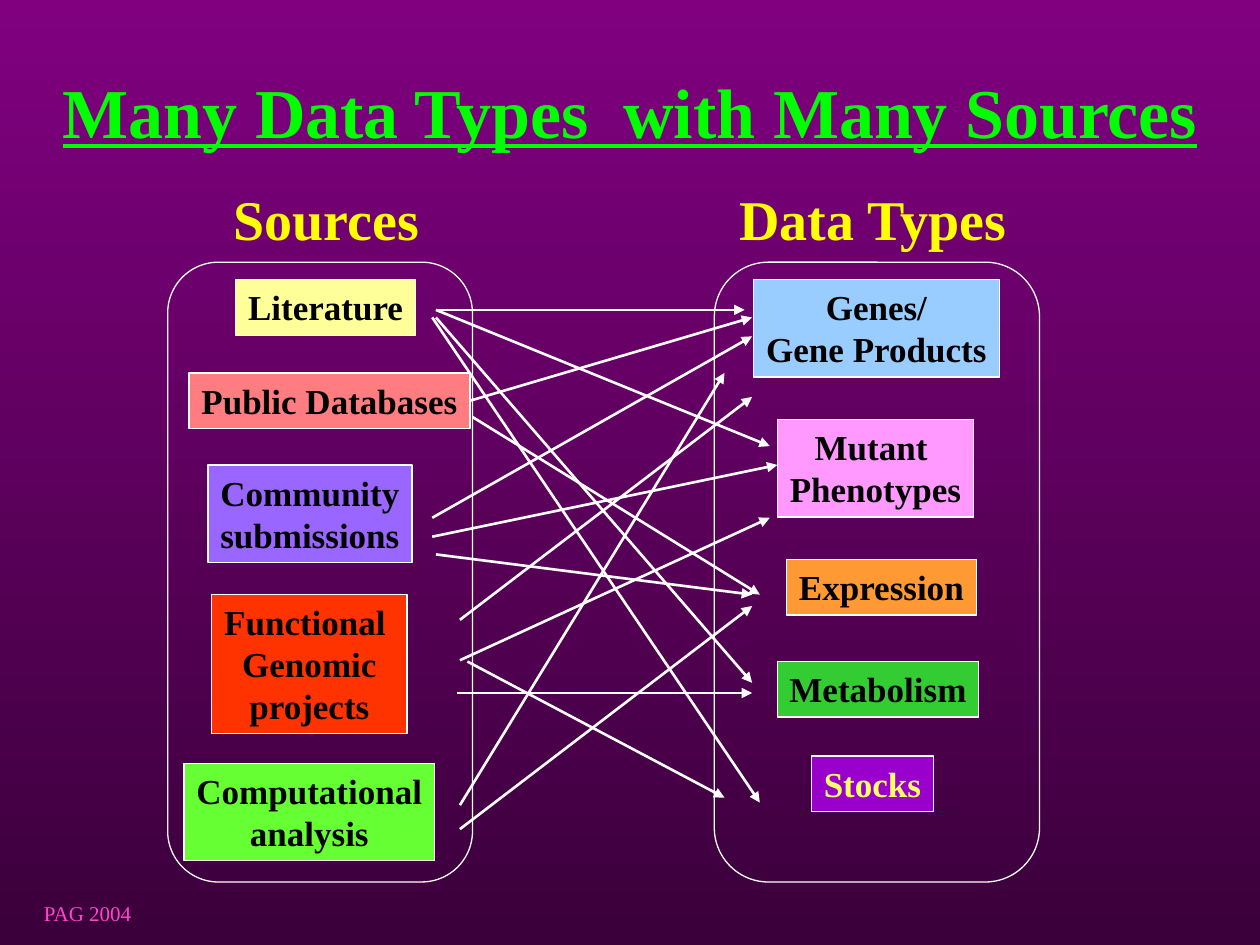
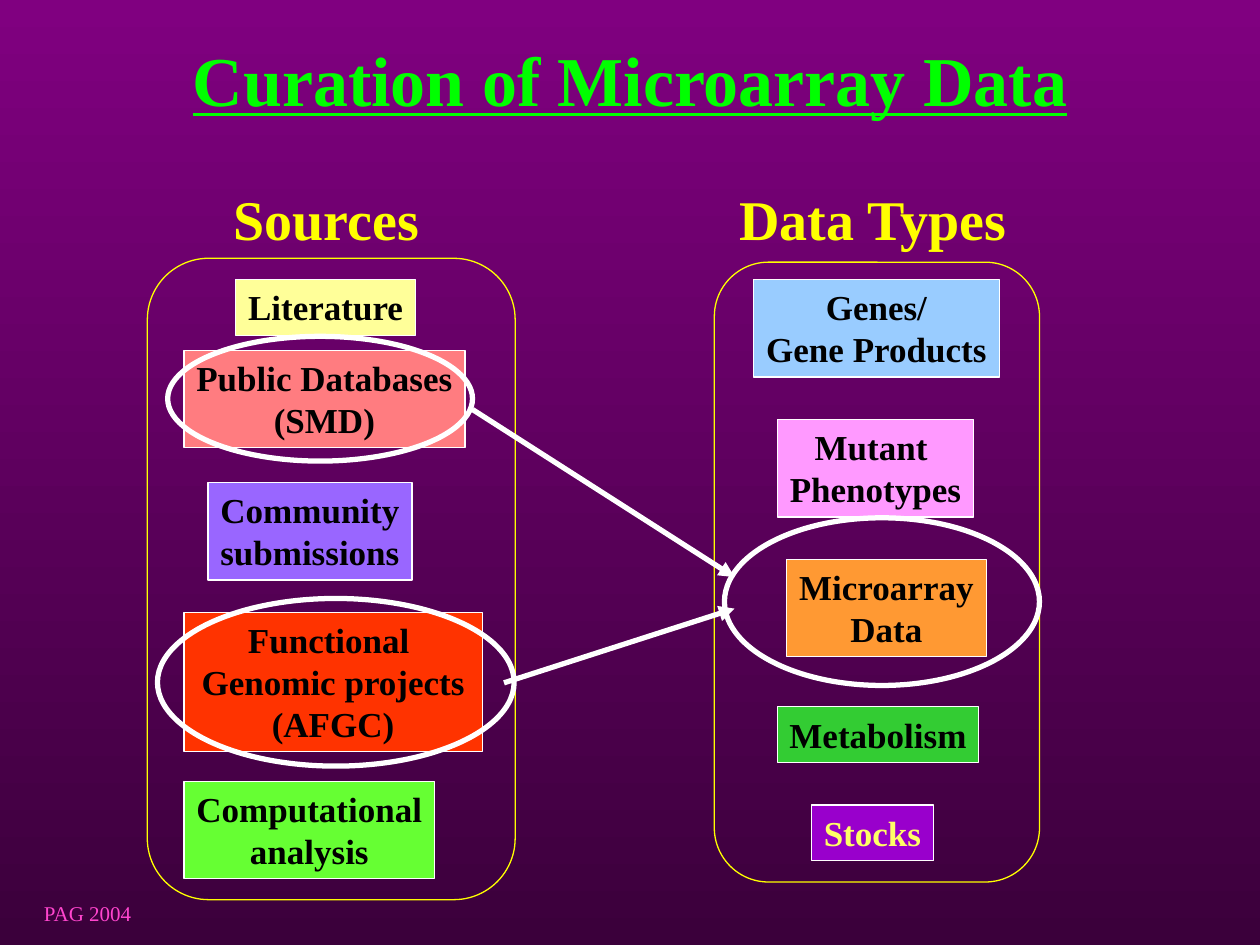
import pptx
import pptx.util
import pptx.dml.color
import pptx.enum.shapes
import pptx.enum.text
from lxml import etree

Pt = pptx.util.Pt
RGB = pptx.dml.color.RGBColor
SHAPE = pptx.enum.shapes.MSO_SHAPE
ANCHOR = pptx.enum.text.MSO_ANCHOR
ALIGN = pptx.enum.text.PP_ALIGN

PURPLE = RGB(0x80, 0x00, 0x80)
DARK_PURPLE = RGB(0x3B, 0x00, 0x3B)
GREEN = RGB(0x00, 0xFF, 0x00)
YELLOW = RGB(0xFF, 0xFF, 0x00)
WHITE = RGB(0xFF, 0xFF, 0xFF)
BLACK = RGB(0x00, 0x00, 0x00)
PINK = RGB(0xFF, 0x45, 0xCE)
CREAM = RGB(0xFF, 0xFF, 0x99)
SALMON = RGB(0xFF, 0x7C, 0x80)
VIOLET = RGB(0x99, 0x66, 0xFF)
RED = RGB(0xFF, 0x33, 0x00)
LIME = RGB(0x66, 0xFF, 0x33)
SKY = RGB(0x99, 0xCC, 0xFF)
ROSE = RGB(0xFF, 0x99, 0xFF)
ORANGE = RGB(0xFF, 0x99, 0x33)
LEAF = RGB(0x33, 0xCC, 0x33)
DEEP_VIOLET = RGB(0x99, 0x00, 0xCC)
PALE_YELLOW = RGB(0xFF, 0xFF, 0x66)

FONT = "Times New Roman"
TITLE = {"name": FONT, "size": Pt(40), "bold": True, "underline": True}
HEADING = {"name": FONT, "size": Pt(32), "bold": True}
LABEL = {"name": FONT, "size": Pt(20), "bold": True}
FOOTER = {"name": FONT, "size": Pt(12)}

DATA_PANEL = (408.2, 149.8, 185.8, 354.2)


class Deck:
    def __init__(self):
        self.prs = pptx.Presentation()
        self.prs.slide_width, self.prs.slide_height = Pt(720), Pt(540)
        self.s = None
        fill = self.prs.slide_master.background.fill
        fill.gradient()
        fill.gradient_angle = 270
        for stop, color in zip(fill.gradient_stops, (PURPLE, DARK_PURPLE)):
            stop.color.rgb = color

    def slide(self, title, left, top, width):
        self.s = self.prs.slides.add_slide(self.prs.slide_layouts[6])
        self.textbox("PAG 2004", (18, 511.2, 65.5, 21.6), FOOTER, PINK, ALIGN.LEFT)
        tf = self.textbox(title, (left, top, width, 90), TITLE, GREEN)
        tf.word_wrap = True
        tf.vertical_anchor = ANCHOR.MIDDLE
        self.textbox("Data Types", (414, 102.2, 169.9, 46.1), HEADING, YELLOW)
        self.textbox("Sources", (126, 102.2, 121, 46.1), HEADING, YELLOW)

    def put_text(self, tf, text, style, color, align=ALIGN.CENTER):
        tf.word_wrap = False
        tf.vertical_anchor = ANCHOR.TOP
        for i, line in enumerate(text.split("\n")):
            p = tf.add_paragraph() if i else tf.paragraphs[0]
            p.alignment = align
            r = p.add_run()
            r.text = line
            for key, value in style.items():
                setattr(r.font, key, value)
            r.font.color.rgb = color

    def textbox(self, text, area, style, color, align=ALIGN.CENTER):
        tf = self.s.shapes.add_textbox(*map(Pt, area)).text_frame
        self.put_text(tf, text, style, color, align)
        return tf

    def shape(self, kind, area, line=WHITE, weight=0.75, fill=None):
        sp = self.s.shapes.add_shape(kind, *map(Pt, area))
        sp.shadow.inherit = False
        if fill is None:
            sp.fill.background()
        else:
            sp.fill.solid()
            sp.fill.fore_color.rgb = fill
        sp.line.color.rgb = line
        sp.line.width = Pt(weight)
        return sp

    def box(self, text, left, top, width, fill, color=BLACK):
        height = 8 + 23.8 * len(text.split("\n"))
        sp = self.shape(SHAPE.RECTANGLE, (left, top, width, height), fill=fill)
        self.put_text(sp.text_frame, text, LABEL, color)
        return sp

    def panel(self, area, line):
        self.shape(SHAPE.ROUNDED_RECTANGLE, area, line)

    def ring(self, *area):
        self.shape(SHAPE.OVAL, area, weight=3)

    def arrow(self, x1, y1, x2, y2, weight=1.5):
        c = self.s.shapes.add_connector(
            pptx.enum.shapes.MSO_CONNECTOR.STRAIGHT, *map(Pt, (x1, y1, x2, y2)))
        c.line.color.rgb = WHITE
        c.line.width = Pt(weight)
        ns = "{http://schemas.openxmlformats.org/drawingml/2006/main}"
        etree.SubElement(c.line._get_or_add_ln(), ns + "tailEnd", type="triangle")
        etree.SubElement(c._element.spPr, ns + "effectLst")
        return c

    def common_boxes(self, community_top, computational_top, metabolism_top, stocks_top):
        self.box("Literature", 134.6, 159.8, 103, CREAM)
        self.box("Community\nsubmissions", 118.8, community_top, 116.6, VIOLET)
        self.box("Computational\nanalysis", 105.1, computational_top, 143.3, LIME)
        self.box("Genes/\nGene Products", 430.6, 159.8, 140.4, SKY)
        self.box("Mutant \nPhenotypes", 444.2, 239.8, 112.3, ROSE)
        self.box("Metabolism", 444.2, metabolism_top, 115.2, LEAF)
        self.box("Stocks", 463.7, stocks_top, 69.8, DEEP_VIOLET, PALE_YELLOW)


def many_sources(deck):
    deck.slide("Many Data Types  with Many Sources", 0, 18, 720)
    deck.common_boxes(265.7, 436.3, 378, 432)
    databases = deck.box("Public Databases", 108, 213.1, 160.6, SALMON)
    deck.box("Functional \nGenomic\nprojects", 121, 339.8, 111.6, RED)
    deck.box("Expression", 449.3, 319.7, 108.7, ORANGE)
    deck.panel((95.8, 149.8, 174.2, 354.2), WHITE)
    deck.panel(DATA_PANEL, WHITE)
    deck.arrow(268.6, 229, 429.8, 181.4).begin_connect(databases, 3)
    for ends in (
        (249.1, 181.4, 429.8, 390.2),
        (249.1, 177.1, 425.5, 177.1),
        (267.1, 378, 414, 455.8),
        (249.1, 177.1, 439.9, 254.9),
        (262.8, 473.8, 429.8, 346.3),
        (262.8, 354.2, 429.8, 226.8),
        (247, 295.9, 429.8, 192.2),
        (247, 306.7, 444.2, 265.7),
        (249.1, 316.8, 429.8, 339.8),
        (261.4, 396, 429.8, 396),
        (262.8, 377.3, 439.9, 295.9),
        (247, 181.4, 434.2, 458.6),
        (262.8, 460.1, 414, 213.1),
        (270, 238.3, 434.2, 339.8),
    ):
        deck.arrow(*ends)


def microarray_curation(deck):
    deck.slide("Curation of Microarray Data", 54, 0, 612)
    deck.common_boxes(275.8, 446.4, 403.9, 460.1)
    deck.box("Public Databases\n(SMD)", 105.1, 200.2, 160.6, SALMON)
    deck.box("Functional \nGenomic projects\n(AFGC)", 105.1, 349.9, 170.6, RED)
    deck.box("Microarray\nData", 449.3, 319.7, 114.5, ORANGE)
    deck.panel((84.2, 147.6, 210.2, 366.5), YELLOW)
    deck.panel(DATA_PANEL, YELLOW)
    deck.arrow(270, 234, 419.8, 329.8, 3)
    deck.ring(95.8, 192.2, 174.2, 71.3)
    deck.ring(414, 295.9, 180, 95.8)
    deck.ring(90, 342, 203.8, 95.8)
    deck.arrow(288, 390.2, 419.8, 347.8, 3)


def main():
    deck = Deck()
    many_sources(deck)
    microarray_curation(deck)
    deck.prs.save("out.pptx")


if __name__ == "__main__":
    main()
